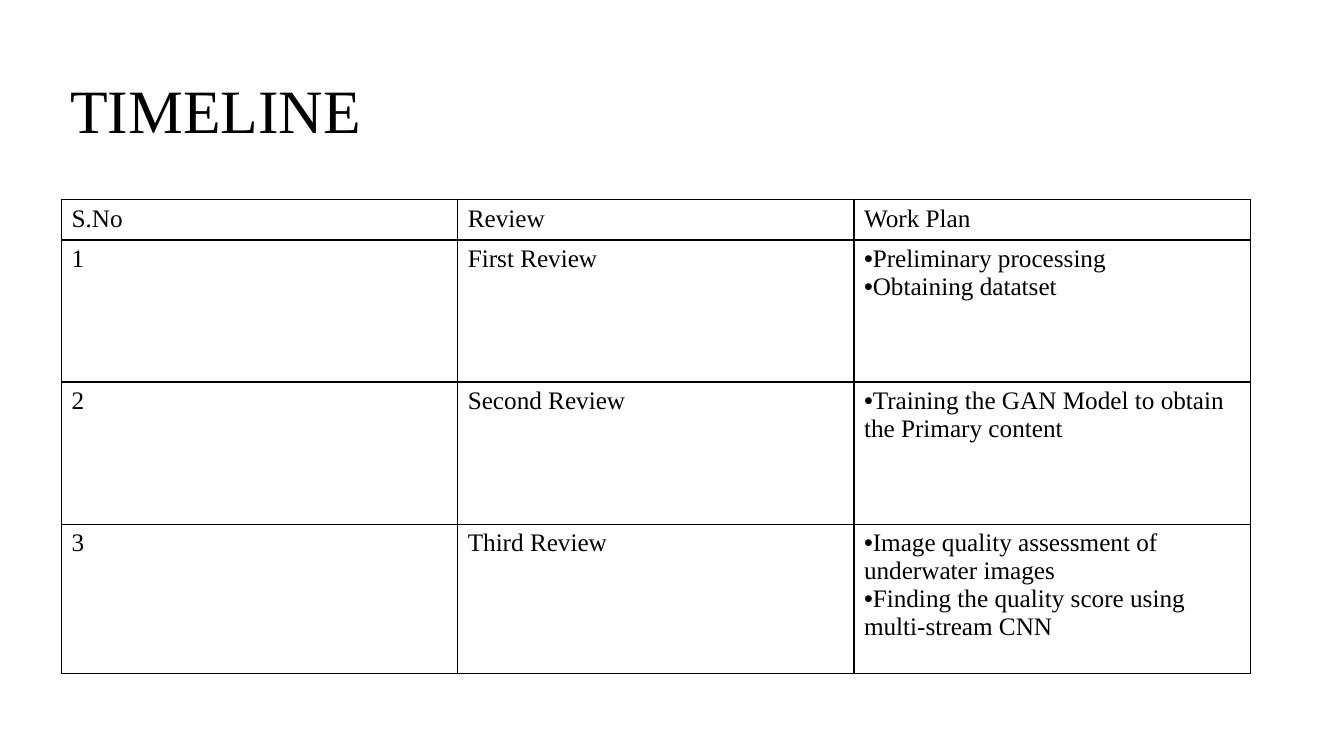
from pptx import Presentation
from pptx.dml.color import RGBColor
from pptx.enum.text import MSO_ANCHOR
from pptx.oxml.ns import qn
from pptx.util import Inches, Pt
from lxml.etree import SubElement

TITLE = "TIMELINE"
ROWS = [
    ("S.No", "Review", "Work Plan"),
    ("1", "First Review", ["Preliminary processing", "Obtaining datatset"]),
    ("2", "Second Review", ["Training the GAN Model to obtain the Primary content"]),
    ("3", "Third Review", ["Image quality assessment of underwater images",
                           "Finding the quality score using multi-stream CNN"]),
]
THEME = {"font": "Times New Roman", "ink": "000000", "title": 44, "body": 18, "border": 1}
SIZE = (13.33, 7.5)
TITLE_BOX = (0.6, 0.4, 11.5, 1.45)
TABLE_ORIGIN = (0.61, 1.98)
COLUMN_WIDTH = 3.93
ROW_HEIGHTS = [0.38, 1.41, 1.41, 1.48]
TABLE_FLAGS = {"first_row": False, "horz_banding": False}
TITLE_FORMAT = {"word_wrap": True, "vertical_anchor": MSO_ANCHOR.MIDDLE}


def apply(target, values):
    for name, value in values.items():
        setattr(target, name, value)


def write(paragraph, text, size):
    run = paragraph.add_run()
    run.text = text
    apply(run.font, {"name": THEME["font"], "size": Pt(size)})
    run.font.color.rgb = RGBColor.from_string(THEME["ink"])


def add_bullet(paragraph):
    properties = paragraph._p.get_or_add_pPr()
    color = SubElement(properties, qn("a:buClr"))
    SubElement(color, qn("a:srgbClr"), val=THEME["ink"])
    SubElement(properties, qn("a:buFont"), typeface="Arial")
    SubElement(properties, qn("a:buChar"), char="•")


def add_borders(cell):
    properties = cell._tc.get_or_add_tcPr()
    for side in ("a:lnL", "a:lnR", "a:lnT", "a:lnB"):
        line = SubElement(properties, qn(side), w=str(Pt(THEME["border"])))
        fill = SubElement(line, qn("a:solidFill"))
        SubElement(fill, qn("a:srgbClr"), val=THEME["ink"])


def fill_cell(cell, content):
    add_borders(cell)
    cell.fill.background()
    bulleted = isinstance(content, list)
    frame = cell.text_frame
    for index, text in enumerate(content if bulleted else [content]):
        paragraph = frame.add_paragraph() if index else frame.paragraphs[0]
        if bulleted:
            add_bullet(paragraph)
        write(paragraph, text, THEME["body"])


def add_title(slide):
    frame = slide.shapes.add_textbox(*map(Inches, TITLE_BOX)).text_frame
    apply(frame, TITLE_FORMAT)
    paragraph = frame.paragraphs[0]
    paragraph.line_spacing = 0.9
    write(paragraph, TITLE, THEME["title"])


def add_timeline(slide):
    columns = len(ROWS[0])
    extent = (columns * COLUMN_WIDTH, sum(ROW_HEIGHTS))
    table = slide.shapes.add_table(
        len(ROWS), columns, *map(Inches, TABLE_ORIGIN + extent)).table
    apply(table, TABLE_FLAGS)
    for column in table.columns:
        column.width = Inches(COLUMN_WIDTH)
    for row, height, contents in zip(table.rows, ROW_HEIGHTS, ROWS):
        row.height = Inches(height)
        for cell, content in zip(row.cells, contents):
            fill_cell(cell, content)


def main():
    presentation = Presentation()
    presentation.slide_width, presentation.slide_height = map(Inches, SIZE)
    slide = presentation.slides.add_slide(presentation.slide_layouts[6])
    add_title(slide)
    add_timeline(slide)
    presentation.save("out.pptx")


if __name__ == "__main__":
    main()
